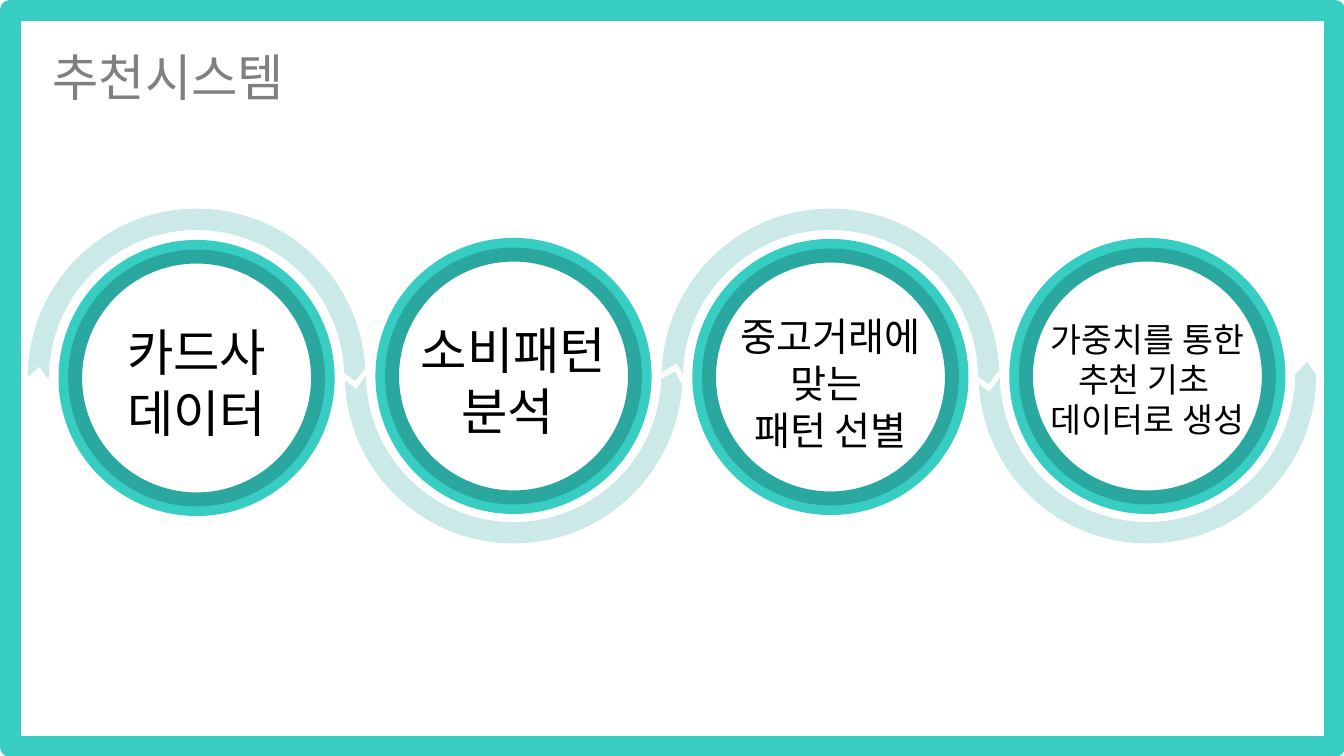
from lxml.etree import SubElement
from pptx import Presentation
from pptx.dml.color import RGBColor
from pptx.enum.shapes import MSO_SHAPE as Preset
from pptx.enum.text import MSO_AUTO_SIZE as AutoSize, PP_ALIGN as Align
from pptx.oxml.ns import qn
from pptx.util import Inches, Pt

FONT = "Noto Sans CJK KR"
TEAL, DARK_TEAL, PALE_TEAL = "37CDC2", "2AA89F", "CBE9E7"
WHITE, NEAR_WHITE, BLACK, GRAY = "FFFFFF", "FCFCFC", "000000", "808080"

TITLE = "추천시스템"
# paragraphs, size, circle top, text top, text width, text height
STAGES = [
    (["카드사", "데이터"], 36, 2.45, 3.14, 1.93, 1.22),
    (["소비패턴 분석 "], 36, 2.43, 3.12, 2.41, 1.22),
    (["중고거래에", "맞는 ", "패턴 선별"], 28, 2.44, 3.05, 2.41, 1.41),
    (["가중치를 통한", "추천 기초 ", "데이터로 생성"], 24, 2.43, 3.11, 2.41, 1.31),
]
# preset, box, rotation, adjustments, fill
ARC_ENDS = [
    (Preset.ISOSCELES_TRIANGLE, (0.27, 3.64, 0.2, 0.11), 0, [0.6], NEAR_WHITE),
    (Preset.HALF_FRAME, (3.39, 3.56, 0.24, 0.25), 216.3, [0.23, 0.21], NEAR_WHITE),
    (Preset.HALF_FRAME, (6.53, 3.64, 0.24, 0.28), 60.7, [0.23, 0.24], NEAR_WHITE),
    (Preset.HALF_FRAME, (9.67, 3.59, 0.24, 0.25), 216.3, [0.23, 0.21], NEAR_WHITE),
    (Preset.ISOSCELES_TRIANGLE, (12.84, 3.59, 0.21, 0.13), 0, [0.6], PALE_TEAL),
]
FIRST_LEFT, LAST_LEFT = 0.65, 10.08
CIRCLE, RING, ARC = 2.6, 2.41, 3.35


def color(hex_text):
    return RGBColor.from_string(hex_text)


def add_preset(shapes, preset, box, fill=None, line=None, line_width=10,
               rotation=0, adjustments=()):
    shape = shapes.add_shape(preset, *map(Inches, box))
    shape.shadow.inherit = False
    shape.rotation = rotation
    for index, value in enumerate(adjustments):
        shape.adjustments[index] = value
    if fill:
        shape.fill.solid()
        shape.fill.fore_color.rgb = color(fill)
    else:
        shape.fill.background()
    if line:
        shape.line.color.rgb = color(line)
        shape.line.width = Pt(line_width)
    else:
        shape.line.fill.background()


def add_text(shapes, box, paragraphs, size, hex_text, align):
    frame = shapes.add_textbox(*map(Inches, box)).text_frame
    frame.word_wrap = True
    frame.auto_size = AutoSize.SHAPE_TO_FIT_TEXT
    for index, words in enumerate(paragraphs):
        paragraph = frame.add_paragraph() if index else frame.paragraphs[0]
        paragraph.alignment = align
        run = paragraph.add_run()
        run.text = words
        run.font.size = Pt(size)
        run.font.name = FONT
        run.font.color.rgb = color(hex_text)
        SubElement(run.font._element, qn("a:ea"), typeface=FONT)


def add_stage(shapes, index, stage):
    """Draw one stage: circle, inner ring, label and the half arc around it."""
    paragraphs, size, top, text_top, text_width, text_height = stage
    left = FIRST_LEFT + index * (LAST_LEFT - FIRST_LEFT) / (len(STAGES) - 1)
    inset = (CIRCLE - RING) / 2
    group = shapes.add_group_shape().shapes
    add_preset(group, Preset.OVAL, (left, top, CIRCLE, CIRCLE), WHITE, TEAL)
    add_preset(group, Preset.OVAL, (left + inset, top + inset, RING, RING),
               WHITE, DARK_TEAL)
    text_left = left + (CIRCLE - text_width) / 2
    add_text(group, (text_left, text_top, text_width, text_height),
             paragraphs, size, BLACK, Align.CENTER)

    below = index % 2 == 1
    arc_left = left - (ARC - CIRCLE) / 2
    add_preset(shapes, Preset.BLOCK_ARC,
               (arc_left, 2.04 if below else 2.07, ARC, ARC), PALE_TEAL,
               rotation=180 if below else 0,
               adjustments=[108, 215.6 if below else 0, 0.063])


def main():
    deck = Presentation()
    deck.slide_width, deck.slide_height = Inches(13.33), Inches(7.5)
    shapes = deck.slides.add_slide(deck.slide_layouts[6]).shapes

    add_text(shapes, (0.42, 0.41, 4.85, 0.71), [TITLE], 36, GRAY, Align.LEFT)
    add_preset(shapes, Preset.RECTANGLE, (0.1, 0.1, 13.14, 7.31),
               line=TEAL, line_width=15)
    for index, stage in enumerate(STAGES):
        add_stage(shapes, index, stage)
    for preset, box, rotation, adjustments, fill in ARC_ENDS:
        add_preset(shapes, preset, box, fill, rotation=rotation,
                   adjustments=adjustments)
    deck.save("out.pptx")


if __name__ == "__main__":
    main()
